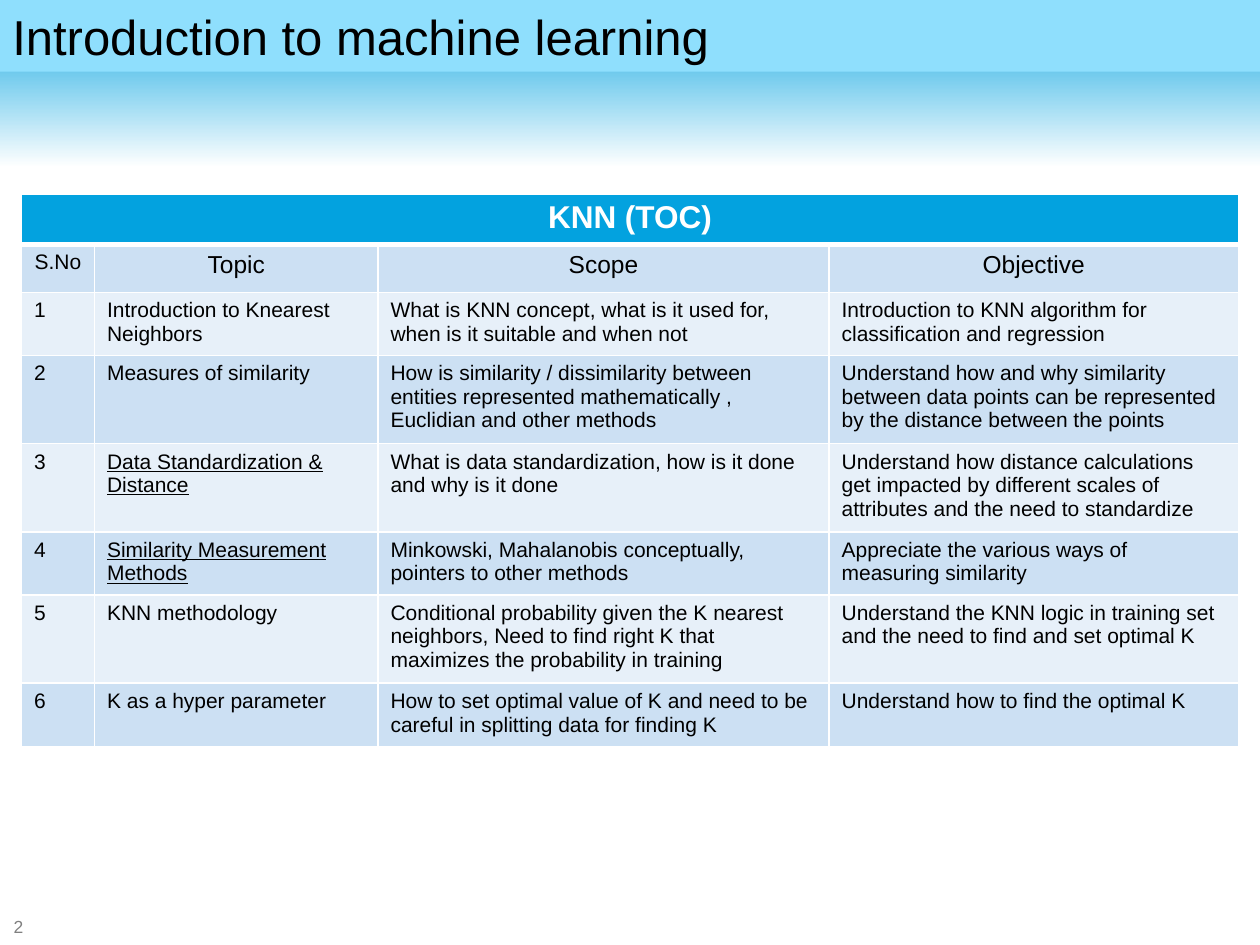
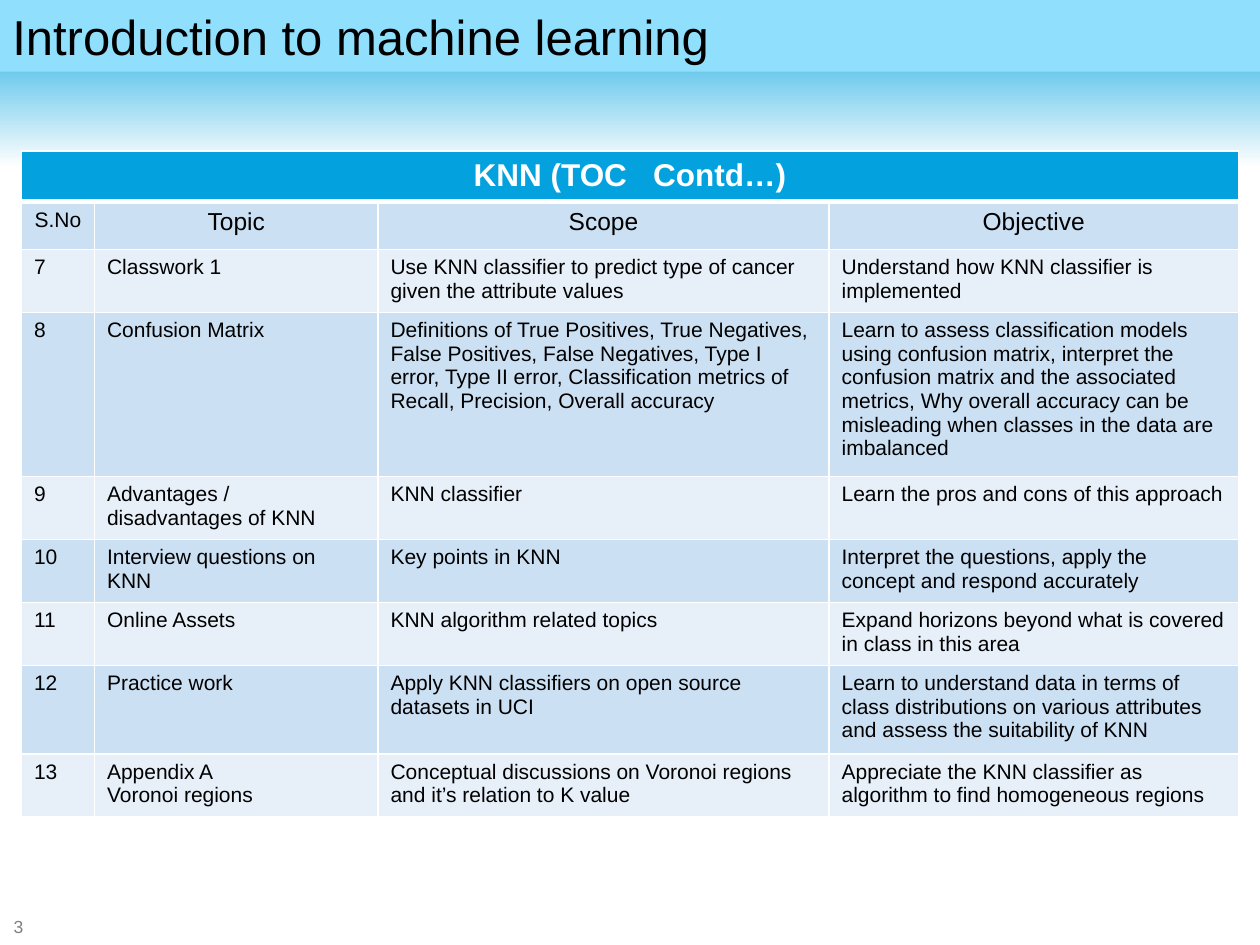
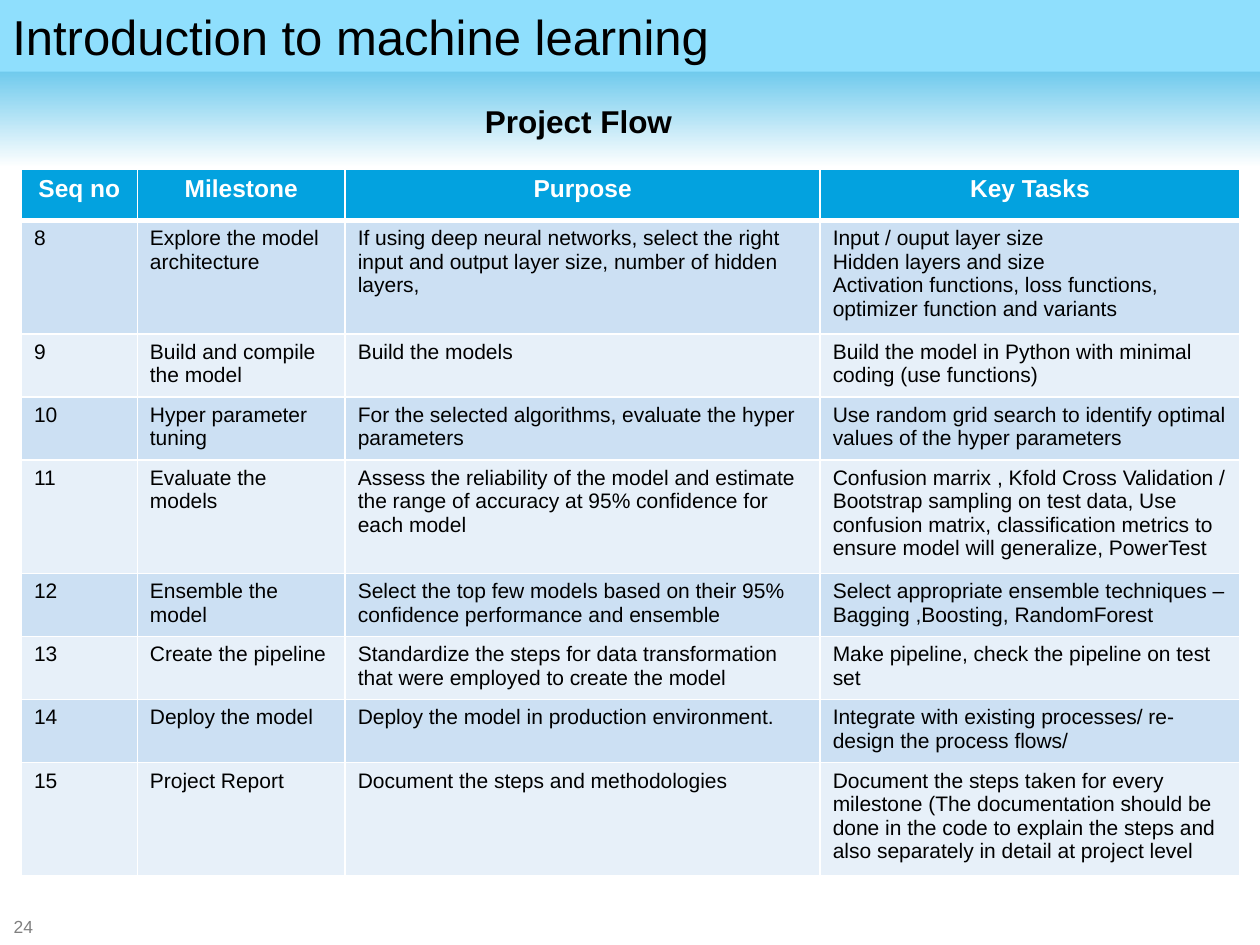
from lxml import etree
from pptx import Presentation
from pptx.dml.color import RGBColor
from pptx.enum.shapes import MSO_SHAPE
from pptx.enum.text import MSO_ANCHOR, PP_ALIGN
from pptx.oxml.ns import qn
from pptx.util import Inches, Pt

RECTANGLE = MSO_SHAPE.RECTANGLE
TOP, MIDDLE = MSO_ANCHOR.TOP, MSO_ANCHOR.MIDDLE
LEFT, CENTER = PP_ALIGN.LEFT, PP_ALIGN.CENTER

FONT = "Arial"
COLORS = {
    "accent": "03A2DF",
    "title_band": "8FDFFD",
    "row_dark": "CCE0F3",
    "row_light": "E7F0F9",
    "white": "FFFFFF",
    "black": "000000",
    "page": "808080",
}
TITLE = "Introduction to machine learning"
TABLE_LEFT = 0.17
TOC_WIDTHS = [0.58, 2.25, 3.58, 3.25]
FLOW_WIDTHS = [0.92, 1.65, 3.77, 3.33]
TOC_HEADINGS = ["S.No", "Topic", "Scope", "Objective"]
FLOW_HEADINGS = ["Seq no", "Milestone", "Purpose", "Key Tasks"]
UNDERLINED = {"Data Standardization & Distance", "Similarity Measurement Methods"}

TOC_START = [
    ["1", "Introduction to Knearest Neighbors",
     "What is KNN concept, what is it used for, when is it suitable and when not",
     "Introduction to KNN algorithm for classification and regression"],
    ["2", "Measures of similarity",
     "How is similarity / dissimilarity between entities represented mathematically , "
     "Euclidian and other methods",
     "Understand how and why similarity between data points can be represented by the "
     "distance between the points"],
    ["3", "Data Standardization & Distance",
     "What is data standardization, how is it done and why is it done",
     "Understand how distance calculations get impacted by different scales of "
     "attributes and the need to standardize"],
    ["4", "Similarity Measurement Methods",
     "Minkowski, Mahalanobis conceptually, pointers to other methods",
     "Appreciate the various ways of measuring similarity"],
    ["5", "KNN methodology",
     "Conditional probability given the K nearest neighbors, Need to find right K that "
     "maximizes the probability in training",
     "Understand the KNN logic in training set and the need to find and set optimal K"],
    ["6", "K as a hyper parameter",
     "How to set optimal value of K and need to be careful in splitting data for finding K",
     "Understand how to find the optimal K"],
]
TOC_CONTINUED = [
    ["7", "Classwork 1",
     "Use KNN classifier to predict type of cancer given the attribute values",
     "Understand how KNN classifier is implemented"],
    ["8", "Confusion Matrix",
     "Definitions of True Positives, True Negatives, False Positives, False Negatives, "
     "Type I error, Type II error, Classification metrics of Recall, Precision, "
     "Overall accuracy",
     "Learn to assess classification models using confusion matrix, interpret the "
     "confusion matrix and the associated metrics, Why overall accuracy can be "
     "misleading when classes in the data are imbalanced"],
    ["9", "Advantages / disadvantages of KNN", "KNN classifier",
     "Learn the pros and cons of this approach"],
    ["10", "Interview questions on KNN", "Key points in KNN",
     "Interpret the questions, apply the concept and respond accurately"],
    ["11", "Online Assets", "KNN algorithm related topics",
     "Expand horizons beyond what is covered in class in this area"],
    ["12", "Practice work", "Apply KNN classifiers on open source datasets in UCI",
     "Learn to understand data in terms of class distributions on various attributes "
     "and assess the suitability of KNN"],
    ["13", "Appendix A\nVoronoi regions",
     "Conceptual discussions on Voronoi regions and it’s relation to K value",
     "Appreciate the KNN classifier as algorithm to find homogeneous regions"],
]
PROJECT_FLOW = [
    ["8", "Explore the model architecture",
     "If using deep neural networks, select the right input and output layer size, "
     "number of hidden layers,",
     "Input / ouput layer size\nHidden layers and size\n"
     "Activation functions, loss functions, optimizer function and variants"],
    ["9", "Build and compile the model", "Build the models",
     "Build the model in Python with minimal coding (use functions)"],
    ["10", "Hyper parameter tuning",
     "For the selected algorithms, evaluate the hyper parameters",
     "Use random grid search to identify optimal values of the hyper parameters"],
    ["11", "Evaluate the models",
     "Assess the reliability of the model and estimate the range of accuracy at 95% "
     "confidence for each model",
     "Confusion marrix , Kfold Cross Validation / Bootstrap sampling on test data, Use "
     "confusion matrix, classification metrics to ensure model will generalize, PowerTest"],
    ["12", "Ensemble the model",
     "Select the top few models based on their 95% confidence performance and ensemble",
     "Select appropriate ensemble techniques – Bagging ,Boosting, RandomForest"],
    ["13", "Create the pipeline",
     "Standardize the steps for data transformation that were employed to create the model",
     "Make pipeline, check the pipeline on test set"],
    ["14", "Deploy the model", "Deploy the model in production environment.",
     "Integrate with existing processes/ re-design the process flows/"],
    ["15", "Project Report", "Document the steps and methodologies",
     "Document the steps taken for every milestone (The documentation should be done in "
     "the code to explain the steps and also separately in detail at project level"],
]


def rgb(name):
    return RGBColor.from_string(COLORS[name])


def write(frame, text, size, color="black", bold=False, align=LEFT):
    frame.text = text
    for paragraph in frame.paragraphs:
        paragraph.alignment = align
        font = paragraph.font
        font.name, font.size, font.bold = FONT, Pt(size), bold
        font.color.rgb = rgb(color)
        font.underline = text in UNDERLINED


def add_band(slide, height):
    band = slide.shapes.add_shape(RECTANGLE, 0, 0, Inches(10), Inches(height))
    band.shadow.inherit = False
    band.line.fill.background()
    return band


def add_label(slide, text, left, top, width, height, size, color="black", bold=False):
    label = slide.shapes.add_textbox(
        Inches(left), Inches(top), Inches(width), Inches(height))
    frame = label.text_frame
    frame.word_wrap = True
    write(frame, text, size, color, bold)
    return frame


def add_base_slide(deck, page):
    slide = deck.slides.add_slide(deck.slide_layouts[6])
    fade = add_band(slide, 1.33).fill
    fade.gradient()
    fade.gradient_angle = 270
    for stop, color, position in zip(fade.gradient_stops, ["accent", "white"], [0, 1]):
        stop.color.rgb = rgb(color)
        stop.position = position

    page_frame = add_label(slide, page, 0.01, 7.27, 0.39, 0.16, 10, "page")
    page_frame.margin_top = page_frame.margin_bottom = 0
    page_frame.vertical_anchor = MIDDLE

    title_band = add_band(slide, 0.57)
    title_band.fill.solid()
    title_band.fill.fore_color.rgb = rgb("title_band")
    title_band.text_frame.vertical_anchor = TOP
    write(title_band.text_frame, TITLE, 28)
    return slide


def set_borders(cell, top, bottom):
    properties = cell._tc.get_or_add_tcPr()
    widths = {"a:lnL": 1, "a:lnR": 1, "a:lnT": top, "a:lnB": bottom}
    for position, (tag, width) in enumerate(widths.items()):
        border = etree.Element(qn(tag), w=str(Pt(width)))
        solid = etree.SubElement(border, qn("a:solidFill"))
        etree.SubElement(solid, qn("a:srgbClr"), val=COLORS["white"])
        properties.insert(position, border)


def add_grid(slide, top, widths, heights):
    grid = slide.shapes.add_table(
        len(heights), len(widths), Inches(TABLE_LEFT), Inches(top),
        Inches(sum(widths)), Inches(sum(heights))).table
    grid.first_row = grid.horz_banding = False
    for column, width in zip(grid.columns, widths):
        column.width = Inches(width)
    for index, (row, height) in enumerate(zip(grid.rows, heights)):
        row.height = Inches(height)
        fill = "accent" if index == 0 else "row_dark" if index % 2 else "row_light"
        for cell in row.cells:
            cell.fill.solid()
            cell.fill.fore_color.rgb = rgb(fill)
            set_borders(cell, 3 if index == 1 else 1, 3 if index == 0 else 1)
    return grid


def body_heights(line_counts):
    return [0.1 + 0.2 * lines for lines in line_counts]


def fill_body(grid, first_row, entries):
    for row, entry in enumerate(entries, first_row):
        for column, text in enumerate(entry):
            write(grid.cell(row, column).text_frame, text, 12)


def add_toc(slide, top, heading, entries, line_counts):
    grid = add_grid(slide, top, TOC_WIDTHS, [0.4, 0.38] + body_heights(line_counts))
    grid.cell(0, 0).merge(grid.cell(0, len(TOC_WIDTHS) - 1))
    write(grid.cell(0, 0).text_frame, heading, 18, "white", True, CENTER)
    for column, text in enumerate(TOC_HEADINGS):
        size = 14 if column else 12
        write(grid.cell(1, column).text_frame, text, size, align=CENTER)
    fill_body(grid, 2, entries)


def add_flow(slide, top, entries, line_counts):
    grid = add_grid(slide, top, FLOW_WIDTHS, [0.41] + body_heights(line_counts))
    for column, text in enumerate(FLOW_HEADINGS):
        write(grid.cell(0, column).text_frame, text, 14, "white", True, CENTER)
    fill_body(grid, 1, entries)


def main():
    deck = Presentation()
    deck.slide_width, deck.slide_height = Inches(10), Inches(7.5)

    toc = add_base_slide(deck, "2")
    add_toc(toc, 1.54, "KNN (TOC)", TOC_START, [2, 3, 3, 2, 3, 2])

    toc_continued = add_base_slide(deck, "3")
    add_toc(toc_continued, 1.2, "KNN (TOC   Contd…)", TOC_CONTINUED,
            [2, 6, 2, 2, 2, 3, 2])

    flow = add_base_slide(deck, "24")
    add_flow(flow, 1.34, PROJECT_FLOW, [4, 2, 2, 4, 2, 2, 2, 4])
    add_label(flow, "Project Flow", 3.75, 0.76, 1.75, 0.4, 18, bold=True)

    deck.save("out.pptx")


if __name__ == "__main__":
    main()
